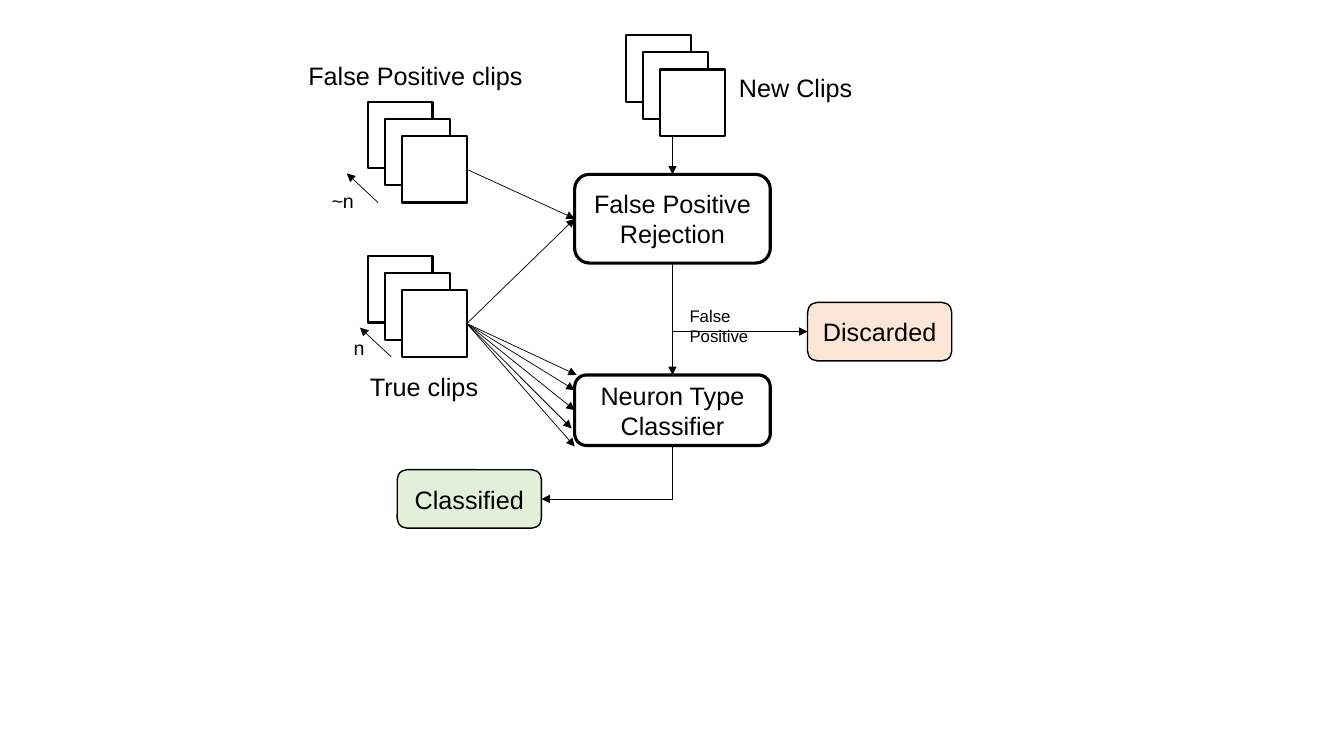
from lxml.etree import SubElement
from pptx import Presentation
from pptx.dml.color import RGBColor
from pptx.enum.shapes import MSO_CONNECTOR, MSO_SHAPE
from pptx.enum.text import MSO_ANCHOR, MSO_AUTO_SIZE, PP_ALIGN
from pptx.oxml.ns import qn
from pptx.util import Emu, Pt

SCALE = 9144  # EMU in one px, 100 px to the inch
FONT, INK, WHITE = "Arial", "000000", "FFFFFF"
TOP, LEFT, BOTTOM, RIGHT = range(4)

# name: text, (left, top, width, height), fill, line width
BOXES = {
    "reject": ("False Positive Rejection", (570, 173, 194, 88), WHITE, 2.25),
    "sorter": ("Neuron Type Classifier", (570, 372, 194, 70), WHITE, 2.25),
    "discard": ("Discarded", (801, 300, 143, 58), "FBE5D6", 1),
    "done": ("Classified", (394, 466, 143, 58), "E2F0D9", 1),
}
# name: left, top of the rearmost clip
STACKS = {"false": (365, 101), "true": (365, 254), "new": (621, 35)}
CLIP, STEP, COUNT = (64, 66), 17, 3
# text, (left, top, width, height), size, wrap
LABELS = [
    ("False Positive clips", (296, 55, 235, 40), 18, False),
    ("True clips", (357, 363, 131, 40), 18, False),
    ("New Clips", (723, 67, 135, 40), 18, False),
    ("~n", (319, 183, 44, 34), 14, False),
    ("n", (341, 328, 31, 34), 14, False),
    ("False Positive", (674, 298, 122, 30), 12, True),
]
# An end is a point or a (name, side) pair
FEED = ((667, 125), ("reject", TOP))
TRUE = ("true", RIGHT)
ARROWS = [
    (("false", RIGHT), ("reject", LEFT)),
    (TRUE, ("reject", LEFT)),
    (("reject", BOTTOM), ("sorter", TOP)),
    ((388, 354), (357, 325)),
    ((375, 201), (344, 172)),
    (TRUE, ("sorter", LEFT)),
    *[(TRUE, tip) for tip in [(572, 372), (570, 387), (567, 425), (570, 443)]],
]
BENDS = [
    (("reject", BOTTOM), ("discard", LEFT)),
    (("sorter", BOTTOM), ("done", RIGHT)),
]

deck = Presentation()
deck.slide_width, deck.slide_height = Emu(1333 * SCALE), Emu(750 * SCALE)
slide = deck.slides.add_slide(deck.slide_layouts[6])
parts = {}


def px(*nums):
    return [Emu(round(num * SCALE)) for num in nums]


def tint(code):
    return RGBColor.from_string(code)


def write(frame, text, size, align):
    para = frame.paragraphs[0]
    para.alignment = align
    run = para.add_run()
    run.text = text
    run.font.name, run.font.size = FONT, Pt(size)
    run.font.color.rgb = tint(INK)


def block(kind, area, fill, width):
    shape = slide.shapes.add_shape(kind, *px(*area))
    shape.shadow.inherit = False
    shape.fill.solid()
    shape.fill.fore_color.rgb = tint(fill)
    shape.line.color.rgb = tint(INK)
    shape.line.width = Pt(width)
    return shape


def place(end):
    """Give the EMU point of an end."""
    if not isinstance(end[0], str):
        return px(*end)
    part, side = parts[end[0]], end[1]
    dx, dy = [(1, 0), (0, 1), (1, 2), (2, 1)][side]
    return part.left + part.width * dx // 2, part.top + part.height * dy // 2


def arrow(start, end, kind=MSO_CONNECTOR.STRAIGHT):
    line = slide.shapes.add_connector(kind, *place(start), *place(end))
    line.line.color.rgb = tint(INK)
    line.line.width = Pt(0.5)
    SubElement(line.line._get_or_add_ln(), qn("a:tailEnd"), type="triangle")
    SubElement(line._element.spPr, qn("a:effectLst"))
    for tip, join in (start, line.begin_connect), (end, line.end_connect):
        if isinstance(tip[0], str):
            join(parts[tip[0]], tip[1])
    return line


def bend(start, end):
    """Go down, then sideways: a turned two-part elbow."""
    line = arrow(start, end, MSO_CONNECTOR.ELBOW)
    (x1, y1), (x2, y2) = place(start), place(end)
    wide, high = abs(y2 - y1), abs(x2 - x1)
    line.left, line.top = Emu((x1 + x2 - wide) // 2), Emu((y1 + y2 - high) // 2)
    line.width, line.height = Emu(wide), Emu(high)
    right = x2 > x1
    props = line._element.spPr
    frame = props.find(qn("a:xfrm"))
    frame.set("rot", str((270 if right else 90) * 60000))
    frame.set("flipH", "1" if right else "0")
    frame.set("flipV", "0")
    props.find(qn("a:prstGeom")).set("prst", "bentConnector2")


# Process boxes
for name, (text, area, fill, width) in BOXES.items():
    box = parts[name] = block(MSO_SHAPE.ROUNDED_RECTANGLE, area, fill, width)
    box.text_frame.word_wrap = True
    box.text_frame.vertical_anchor = MSO_ANCHOR.MIDDLE
    write(box.text_frame, text, 18, PP_ALIGN.CENTER)

# Clip stacks, above the arrow that feeds new clips; the front clip is kept
arrow(*FEED)
for name, (x, y) in STACKS.items():
    for i in range(COUNT):
        area = (x + i * STEP, y + i * STEP, *CLIP)
        parts[name] = block(MSO_SHAPE.RECTANGLE, area, WHITE, 1.5)

# Arrows
for ends in ARROWS:
    arrow(*ends)
for ends in BENDS:
    bend(*ends)

# Labels
for text, area, size, wrap in LABELS:
    frame = slide.shapes.add_textbox(*px(*area)).text_frame
    frame.word_wrap = wrap
    frame.auto_size = MSO_AUTO_SIZE.SHAPE_TO_FIT_TEXT
    write(frame, text, size, PP_ALIGN.LEFT)

deck.save("out.pptx")
